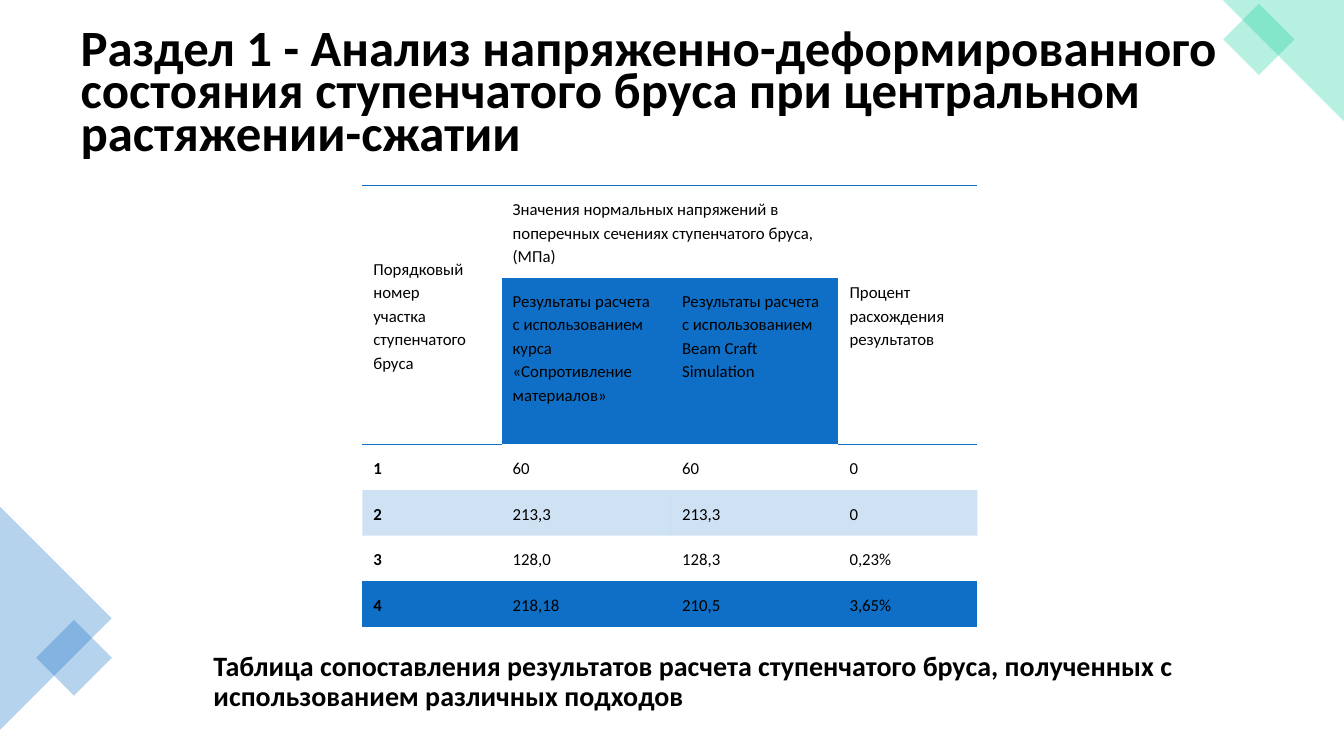
import pptx
import pptx.util
import pptx.dml.color
import pptx.enum.shapes
import pptx.enum.text
import pptx.oxml.ns
from lxml import etree

Cm, Pt = pptx.util.Cm, pptx.util.Pt
Shape = pptx.enum.shapes.MSO_SHAPE
Anchor = pptx.enum.text.MSO_ANCHOR
qn = pptx.oxml.ns.qn

COLORS = {"text": "000000", "blue": "0F6FC6", "green": "10CF9B"}
FONT = "Calibri"

TITLE = ("Раздел 1 - Анализ напряженно-деформированного состояния "
         "ступенчатого бруса при центральном растяжении-сжатии")
CAPTION = ("Таблица сопоставления результатов расчета ступенчатого бруса, "
           "полученных с использованием различных подходов")

# (row, column): heading; a line break starts a new paragraph
HEADINGS = {
    (0, 0): "Порядковый номер\nучастка\nступенчатого бруса",
    (0, 1): "Значения нормальных напряжений в поперечных сечениях "
            "ступенчатого бруса, (МПа)",
    (0, 3): "Процент расхождения результатов",
    (1, 1): "Результаты расчета\nс использованием\n"
            "курса «Сопротивление материалов»",
    (1, 2): "Результаты расчета\nс использованием\nBeam Craft\nSimulation",
}
MERGES = [((0, 0), (1, 0)), ((0, 1), (0, 2)), ((0, 3), (1, 3))]
RESULTS = [
    ("1", "60", "60", "0"),
    ("2", "213,3", "213,3", "0"),
    ("3", "128,0", "128,3", "0,23%"),
    ("4", "218,18", "210,5", "3,65%"),
]
COLUMN_WIDTHS = [3.51, 4.27, 4.22, 3.5]
ROW_HEIGHTS = [2.36, 4.17] + [1.15] * len(RESULTS)
# Horizontal rule number: the columns it crosses
RULES = {0: (0, 1, 2, 3), 1: (1, 2), 2: (0, 3), 6: (0, 1, 2, 3)}


def rgb(name):
    return pptx.dml.color.RGBColor.from_string(COLORS[name])


def tint(fill, color, percent):
    """Fill with a colour at the given opacity."""
    fill.solid()
    fill.fore_color.rgb = rgb(color)
    srgb = fill._xPr.find(".//" + qn("a:srgbClr"))
    etree.SubElement(srgb, qn("a:alpha"), val=str(percent * 1000))


def format_paragraphs(frame, size, bold, spacing, before=0, after=0):
    for paragraph in frame.paragraphs:
        paragraph.line_spacing = spacing
        paragraph.space_before, paragraph.space_after = Pt(before), Pt(after)
        for run in paragraph.runs:
            run.font.name, run.font.size, run.font.bold = FONT, Pt(size), bold
            run.font.color.rgb = rgb("text")


def add_heading(slide, box, text, size, anchor, spacing, before=0):
    frame = slide.shapes.add_textbox(*map(Cm, box)).text_frame
    frame.word_wrap = True
    frame.vertical_anchor = anchor
    frame.text = text
    format_paragraphs(frame, size, True, spacing, before)


def add_ornament(shapes, kind, box, rotation, color):
    ornament = shapes.add_shape(kind, *map(Cm, box))
    ornament.rotation = rotation
    ornament.shadow.inherit = False
    ornament.line.fill.background()
    tint(ornament.fill, color, 30)
    return ornament


def add_left_corner(slide, left, top, height):
    """Triangle pointing right from the slide edge, with a small diamond."""
    depth, side = height / 2, 1.35
    box = (left + depth / 2 - height / 2, top + depth / 2, height, depth)
    add_ornament(slide.shapes, Shape.ISOSCELES_TRIANGLE, box, 90, "blue")
    box = (left + 1.19, top + 3.13, side, side)
    add_ornament(slide.shapes, Shape.RECTANGLE, box, 45, "blue")


def add_right_corner(slide, left, top, size):
    """Folded corner with a small diamond."""
    group = slide.shapes.add_group_shape()
    corner = add_ornament(group.shapes, Shape.ISOSCELES_TRIANGLE,
                          (left, top, size, size), 270, "green")
    corner.adjustments[0] = 1
    side = 1.27
    add_ornament(group.shapes, Shape.RECTANGLE,
                 (left + 0.27, top + 0.36, side, side), 45, "green")


def set_borders(cell, row, column):
    ruled = {"a:lnL": False, "a:lnR": False,
             "a:lnT": column in RULES.get(row, ()),
             "a:lnB": column in RULES.get(row + 1, ())}
    properties = cell._tc.get_or_add_tcPr()
    for tag, visible in ruled.items():
        border = etree.SubElement(properties, qn(tag), w=str(Pt(1)))
        if visible:
            solid = etree.SubElement(border, qn("a:solidFill"))
            etree.SubElement(solid, qn("a:srgbClr"), val=COLORS["blue"])
        else:
            etree.SubElement(border, qn("a:noFill"))


def add_results_table(slide, left, top):
    box = (left, top, sum(COLUMN_WIDTHS), sum(ROW_HEIGHTS))
    table = slide.shapes.add_table(
        len(ROW_HEIGHTS), len(COLUMN_WIDTHS), *map(Cm, box)).table
    table.first_row = table.horz_banding = False
    for column, width in zip(table.columns, COLUMN_WIDTHS):
        column.width = Cm(width)
    for row, height in zip(table.rows, ROW_HEIGHTS):
        row.height = Cm(height)

    texts = dict(HEADINGS)
    for r, values in enumerate(RESULTS, start=2):
        texts.update({(r, c): value for c, value in enumerate(values)})

    for r in range(len(ROW_HEIGHTS)):
        for c in range(len(COLUMN_WIDTHS)):
            cell = table.cell(r, c)
            set_borders(cell, r, c)
            if r in (3, 5) or (r == 1 and c in (1, 2)):
                tint(cell.fill, "blue", 20)
            else:
                cell.fill.background()
            cell.margin_left, cell.margin_right = Cm(0.28), Cm(0.15)
            cell.margin_top = cell.margin_bottom = Cm(0.23)
            cell.vertical_anchor = Anchor.TOP if r == 1 else Anchor.MIDDLE
            if (r, c) in texts:
                cell.text_frame.text = texts[r, c]
                format_paragraphs(cell.text_frame, 12, r > 1 and c == 0, 1.15,
                                  after=10 if r > 1 else 0)

    for first, last in MERGES:
        table.cell(*first).merge(table.cell(*last))


def main():
    deck = pptx.Presentation()
    deck.slide_width, deck.slide_height = Cm(33.87), Cm(19.05)
    slide = deck.slides.add_slide(deck.slide_layouts[6])

    # Caption under the table
    add_heading(slide, (5.13, 16.18, 27.84, 1.9), CAPTION, 20,
                Anchor.BOTTOM, 0.9, before=10)
    # Corner ornaments
    add_left_corner(slide, 0, 12.77, 5.62)
    add_right_corner(slide, 30.82, 0, 3.05)
    # Comparison of stresses
    add_results_table(slide, 9.13, 4.67)
    # Title
    add_heading(slide, (1.78, 0.58, 29.21, 3.68), TITLE, 36.3,
                Anchor.MIDDLE, 0.7)

    deck.save("out.pptx")


if __name__ == "__main__":
    main()
